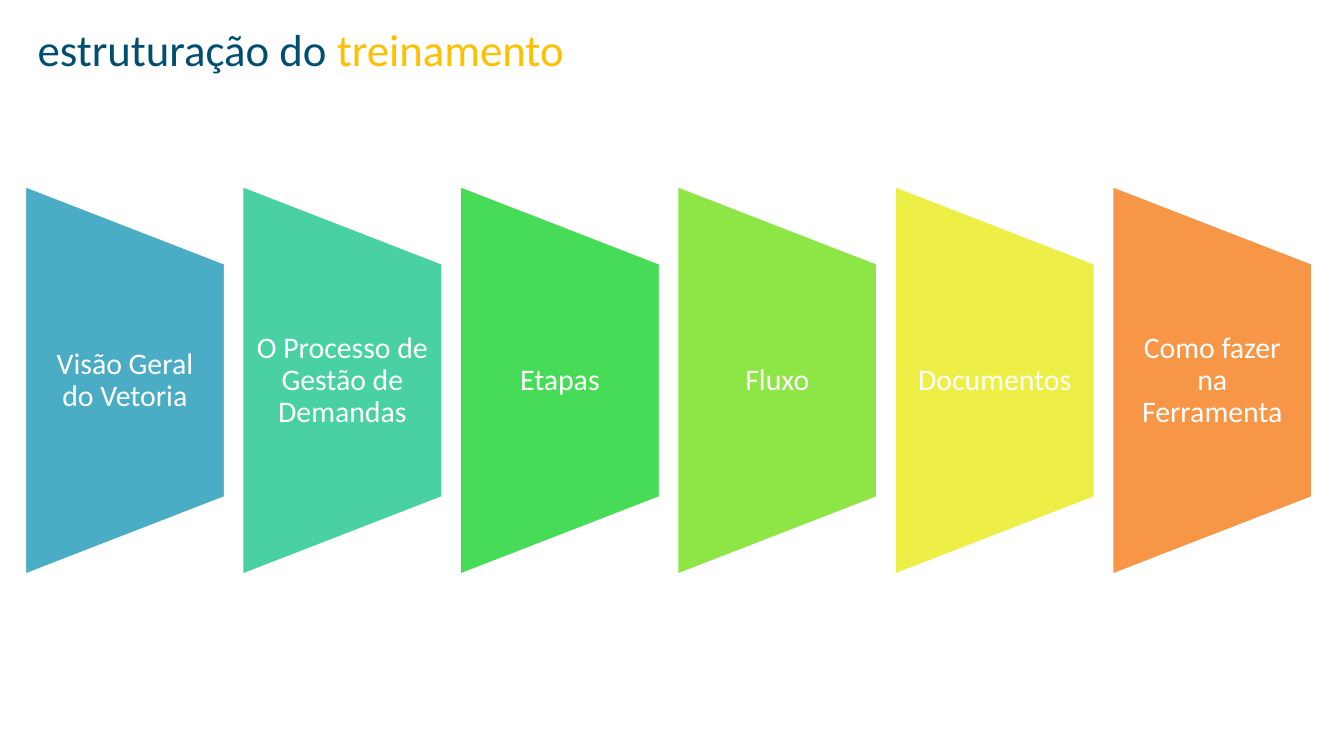
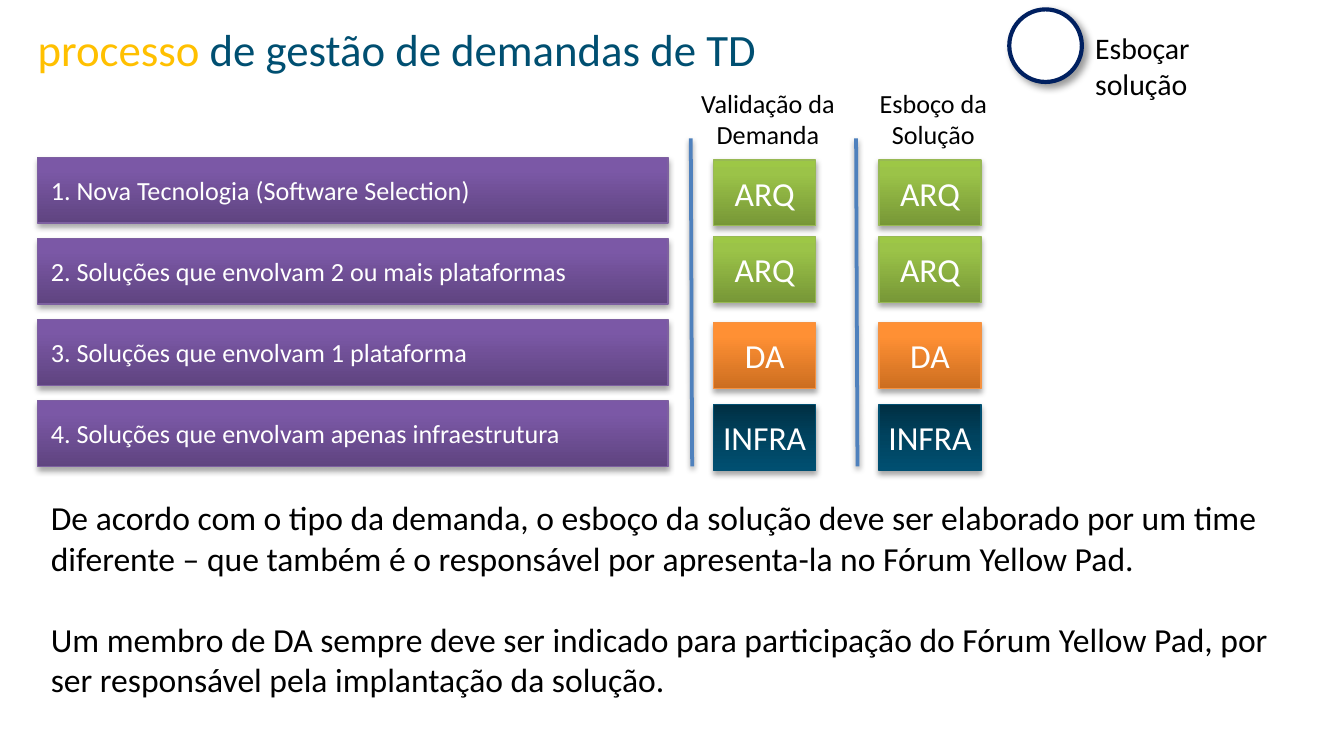
from typing import NamedTuple

import pptx
import pptx.dml.color
import pptx.enum.shapes
import pptx.enum.text
import pptx.oxml
import pptx.oxml.ns
import pptx.util
from pptx.util import Inches

SHAPE = pptx.enum.shapes.MSO_SHAPE
ALIGN = pptx.enum.text.PP_ALIGN
ANCHOR = pptx.enum.text.MSO_ANCHOR
FIT = pptx.enum.text.MSO_AUTO_SIZE

# Shared look
FONT = "Calibri"
COLORS = {
    "white": "FFFFFF", "black": "000000",
    "petrol": "004F71", "gold": "FFC000", "navy": "002060", "divider": "4F81BD",
    "blue": "4BACC6", "teal": "49D1A3", "green": "47DC57",
    "lime": "8DE646", "yellow": "EEEF46", "orange": "F79646",
    "purple edge": "7D60A0", "olive edge": "98B955", "amber edge": "F69240",
}


class Span(NamedTuple):
    text: str
    color: str


class Module(NamedTuple):
    name: str
    color: str


class Shadow(NamedTuple):
    alpha: int
    blur: float
    distance: float
    angle: int


class BoxStyle(NamedTuple):
    stops: dict[int, str]
    angle: int
    edge: str
    inset_x: float = 0.1
    inset_y: float = 0.05


class Demand(NamedTuple):
    name: str
    team: str
    team_top: float


class Stage(NamedTuple):
    name: str
    left: float


BOX_SHADOW = Shadow(35, 3.1, 1.8, 90)
DIVIDER_SHADOW = Shadow(38, 3.1, 1.6, 90)
CIRCLE_SHADOW = Shadow(40, 4, 3, 45)

DEMAND_STYLE = BoxStyle({0: "5F4480", 80: "7B58A6", 100: "7C57A8"}, 270, "purple edge")
TEAM_STYLES = {
    "ARQ": BoxStyle({0: "779737", 80: "9BC348", 100: "9DC746"}, 270, "olive edge"),
    "DA": BoxStyle({0: "CC6E20", 80: "FF9034", 100: "FF9136"}, 270, "amber edge"),
    "INFRA": BoxStyle({0: "002F43", 50: "00435F", 100: "004F71"}, 90, "petrol", 0, 0),
}

# Slide content
MODULES = [
    Module("Visão Geral do Vetoria", "blue"),
    Module("O Processo de Gestão de Demandas", "teal"),
    Module("Etapas", "green"),
    Module("Fluxo", "lime"),
    Module("Documentos", "yellow"),
    Module("Como fazer na Ferramenta", "orange"),
]
DEMANDS = [
    Demand("1. Nova Tecnologia (Software Selection)", "ARQ", 1.19),
    Demand("2. Soluções que envolvam 2 ou mais plataformas", "ARQ", 1.76),
    Demand("3. Soluções que envolvam 1 plataforma", "DA", 2.4),
    Demand("4. Soluções que envolvam apenas infraestrutura", "INFRA", 3.01),
]
STAGES = [Stage("Validação da Demanda", 5), Stage("Esboço da Solução", 6.23)]
NOTES = [
    "De acordo com o tipo da demanda, o esboço da solução deve ser elaborado por um time "
    "diferente – que também é o responsável por apresenta-la no Fórum Yellow Pad.",
    "Um membro de DA sempre deve ser indicado para participação do Fórum Yellow Pad, por "
    "ser responsável pela implantação da solução.",
]


def rgb(name: str) -> pptx.dml.color.RGBColor:
    return pptx.dml.color.RGBColor.from_string(COLORS[name])


def write(frame, *paragraphs: str | list[Span], size: float, color: str = "black",
          align=ALIGN.LEFT, anchor=ANCHOR.TOP, inset_x: float = 0.1,
          inset_y: float = 0.05, gap: float = 0, line_spacing: float = 1) -> None:
    """Fill a text frame; a paragraph is plain text or a list of coloured spans."""
    frame.word_wrap = True
    frame.vertical_anchor = anchor
    frame.margin_left = frame.margin_right = Inches(inset_x)
    frame.margin_top = frame.margin_bottom = Inches(inset_y)
    for index, content in enumerate(paragraphs):
        para = frame.add_paragraph() if index else frame.paragraphs[0]
        para.alignment = align
        para.line_spacing = line_spacing
        if index:
            para.space_before = pptx.util.Pt(gap)
        spans = [Span(content, color)] if isinstance(content, str) else content
        for span in spans:
            run = para.add_run()
            run.text = span.text
            run.font.name = FONT
            run.font.size = pptx.util.Pt(size)
            run.font.color.rgb = rgb(span.color)


def add_text(page, left: float, top: float, width: float, height: float,
             *paragraphs: str, **text_format):
    box = page.shapes.add_textbox(Inches(left), Inches(top), Inches(width), Inches(height))
    write(box.text_frame, *paragraphs, **text_format)
    return box


def add_shape(page, kind, left: float, top: float, width: float, height: float,
              edge: str, edge_width: float, fill: str | None = None):
    shape = page.shapes.add_shape(kind, Inches(left), Inches(top),
                                  Inches(width), Inches(height))
    shape.shadow.inherit = False
    shape.line.color.rgb = rgb(edge)
    shape.line.width = pptx.util.Pt(edge_width)
    if fill:
        shape.fill.solid()
        shape.fill.fore_color.rgb = rgb(fill)
    return shape


def add_xml(parent, tag: str, **attributes):
    child = pptx.oxml.parse_xml(f"<{tag} {pptx.oxml.ns.nsdecls('a')}/>")
    for name, value in attributes.items():
        child.set(name, str(value))
    parent.append(child)
    return child


def set_shadow(shape, shadow: Shadow) -> None:
    properties = shape.element.spPr
    effects = properties.find(pptx.oxml.ns.qn("a:effectLst"))
    if effects is None:
        effects = add_xml(properties, "a:effectLst")
    outer = add_xml(effects, "a:outerShdw", blurRad=int(pptx.util.Pt(shadow.blur)),
                    dist=int(pptx.util.Pt(shadow.distance)),
                    dir=shadow.angle * 60000, rotWithShape=0)
    color = add_xml(outer, "a:srgbClr", val=COLORS["black"])
    add_xml(color, "a:alpha", val=shadow.alpha * 1000)


def set_gradient(shape, stops: dict[int, str], angle: int) -> None:
    shape.fill.gradient()
    gradient = shape.element.spPr.find(pptx.oxml.ns.qn("a:gradFill"))
    for child in list(gradient):
        gradient.remove(child)
    stop_list = add_xml(gradient, "a:gsLst")
    for position, color in stops.items():
        add_xml(add_xml(stop_list, "a:gs", pos=position * 1000), "a:srgbClr", val=color)
    add_xml(gradient, "a:lin", ang=angle * 60000, scaled=0)


def add_box(page, left: float, top: float, width: float, text: str,
            style: BoxStyle, size: float, align) -> None:
    box = add_shape(page, SHAPE.RECTANGLE, left, top, width, 0.49, style.edge, 0.75)
    set_gradient(box, style.stops, style.angle)
    set_shadow(box, BOX_SHADOW)
    write(box.text_frame, text, size=size, color="white", align=align,
          anchor=ANCHOR.MIDDLE, inset_x=style.inset_x, inset_y=style.inset_y)


def add_page(deck, width: float, *title: Span):
    page = deck.slides.add_slide(deck.slide_layouts.get_by_name("Title Only"))
    heading = page.shapes.title
    heading.left, heading.top = Inches(0.18), Inches(0.11)
    heading.width, heading.height = Inches(width), Inches(0.5)
    write(heading.text_frame, list(title), size=24)
    heading.text_frame.auto_size = FIT.SHAPE_TO_FIT_TEXT
    return page


def build_training(deck) -> None:
    page = add_page(deck, 6.61, Span("estruturação do ", "petrol"),
                    Span("treinamento", "gold"))
    # Row of trapezoids, each turned on its side under an upright label
    first, last, width, middle, length = 0.18, 8.27, 1.5, 2.83, 2.91
    pitch = (last - first) / (len(MODULES) - 1)
    for index, module in enumerate(MODULES):
        left = first + index * pitch
        panel = add_shape(page, SHAPE.FLOWCHART_MANUAL_OPERATION,
                          left + (width - length) / 2, middle - width / 2,
                          length, width, "white", 2, module.color)
        panel.rotation = 270
        add_text(page, left, 1.96, width, 1.75, module.name, size=16, color="white",
                 align=ALIGN.CENTER, anchor=ANCHOR.MIDDLE, inset_x=0.11, inset_y=0,
                 line_spacing=0.9)


def build_process(deck) -> None:
    page = add_page(deck, 8.81, Span("processo ", "gold"),
                    Span("de gestão de demandas de TD", "petrol"))
    # Kinds of demand
    first, last = 1.17, 2.98
    pitch = (last - first) / (len(DEMANDS) - 1)
    for index, demand in enumerate(DEMANDS):
        add_box(page, 0.28, first + index * pitch, 4.69, demand.name,
                DEMAND_STYLE, 14, ALIGN.LEFT)

    # Stage columns with the team in charge of each demand
    for stage in STAGES:
        divider = page.shapes.add_connector(
            pptx.enum.shapes.MSO_CONNECTOR.STRAIGHT,
            Inches(stage.left + 0.14), Inches(1.03),
            Inches(stage.left + 0.15), Inches(3.47))
        divider.line.color.rgb = rgb("divider")
        divider.line.width = pptx.util.Pt(2)
        set_shadow(divider, DIVIDER_SHADOW)
        add_text(page, stage.left, 0.6, 1.43, 0.58, stage.name,
                 size=14, align=ALIGN.CENTER)
        for demand in DEMANDS:
            add_box(page, stage.left + 0.31, demand.team_top, 0.76, demand.team,
                    TEAM_STYLES[demand.team], 18, ALIGN.CENTER)

    # Explanation
    add_text(page, 0.28, 3.65, 9.45, 1.62, *NOTES, size=18, gap=22)

    # Step marker; the wide right inset sets its label on two lines
    label = add_text(page, 8.05, 0.17, 1.62, 0.37, "Esboçar solução", size=16)
    label.text_frame.margin_right = Inches(0.5)
    circle = add_shape(page, SHAPE.OVAL, 7.51, 0.07, 0.54, 0.54, "navy", 2.25, "white")
    set_shadow(circle, CIRCLE_SHADOW)


def main() -> None:
    deck = pptx.Presentation()
    # Widescreen, 16:9
    deck.slide_width = Inches(10)
    deck.slide_height = Inches(10 * 9 / 16)
    build_training(deck)
    build_process(deck)
    deck.save("out.pptx")


if __name__ == "__main__":
    main()
